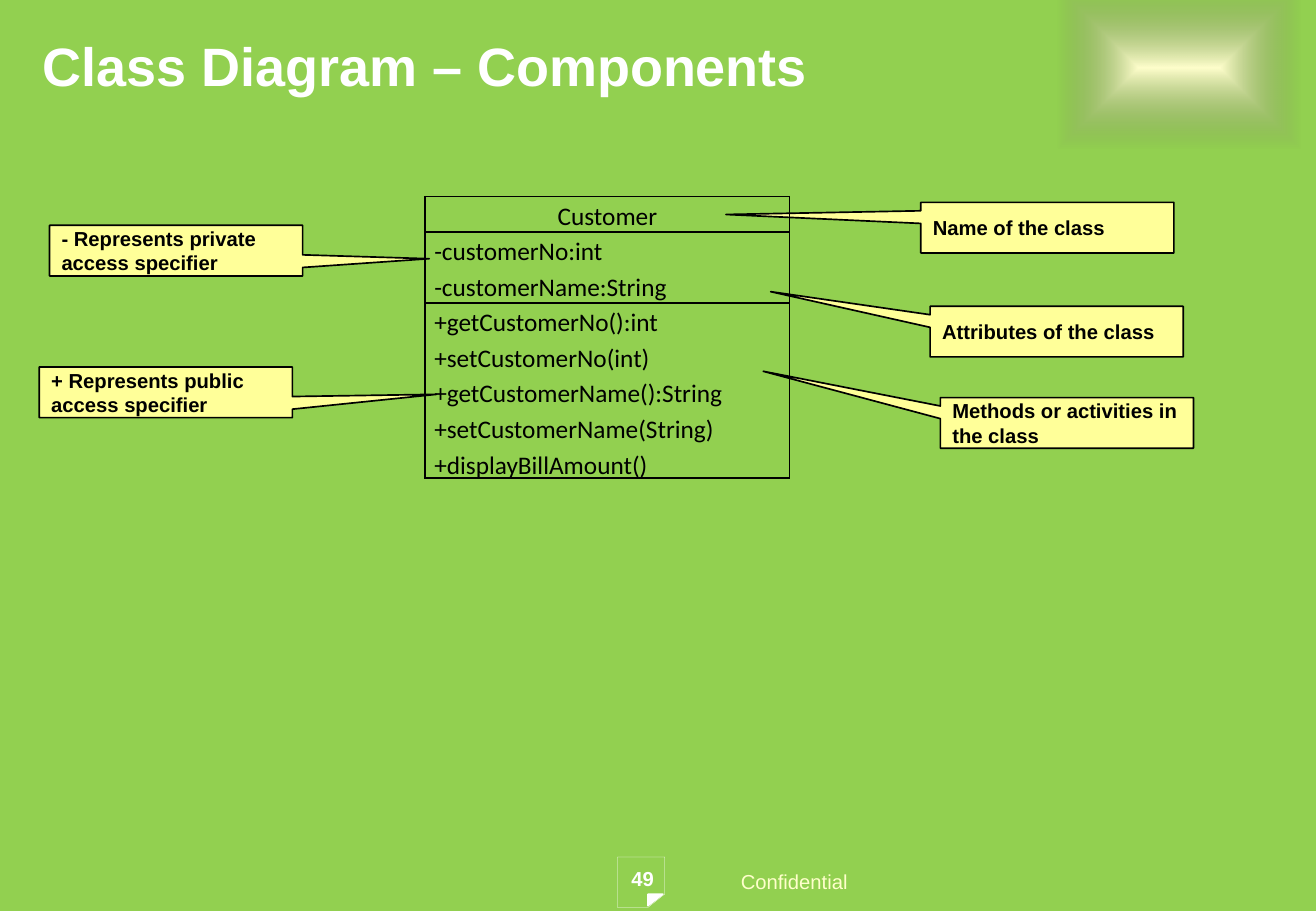
from lxml.etree import fromstring
from pptx import Presentation
from pptx.dml.color import RGBColor
from pptx.enum.shapes import MSO_SHAPE
from pptx.enum.text import MSO_ANCHOR, PP_ALIGN
from pptx.oxml.ns import qn
from pptx.util import Pt

COLORS = {
    "background": "92D050",
    "callout": "FFFF99",
    "glow": "FFFFCC",
    "glow_edge": "76765E",
    "ink": "000000",
    "light": "FFFFFF",
}
DRAWING_NS = 'xmlns:a="http://schemas.openxmlformats.org/drawingml/2006/main"'

CLASS_ROWS = [
    (20.9, ["Customer"]),
    (42.1, ["-customerNo:int", "-customerName:String"]),
    (103.7, ["+getCustomerNo():int", "+setCustomerNo(int)",
             "+getCustomerName():String", "+setCustomerName(String)",
             "+displayBillAmount()"]),
]

# Left, top, pointer offset as shares of width and height, text
CALLOUTS = [
    (29.4, 133.6, (1, 0.16), "- Represents private access specifier"),
    (23.3, 217.6, (1.07, 0.04), "+ Represents public access specifier"),
    (545.8, 120, (-1.27, -0.26), "Name of the class"),
    (551.3, 181.6, (-1.13, -0.79), "Attributes of the class"),
    (557.4, 235.7, (-1.2, -1.02), "Methods or activities in the class"),
]


def color(name):
    return RGBColor.from_string(COLORS[name])


def style(paragraph, size, ink, bold=False, face="Arial", align=PP_ALIGN.LEFT):
    paragraph.alignment = align
    font = paragraph.font
    font.size, font.bold, font.name = Pt(size), bold, face
    font.color.rgb = color(ink)


def add_text_shadow(paragraph, distance):
    """Give the letters a hard shadow towards the lower right."""
    fill = paragraph._p.pPr.find(qn("a:defRPr")).find(qn("a:solidFill"))
    fill.addnext(fromstring(
        f'<a:effectLst {DRAWING_NS}><a:outerShdw dist="{Pt(distance)}" dir="2700000">'
        f'<a:srgbClr val="{COLORS["ink"]}"/></a:outerShdw></a:effectLst>'))


def add_label(slide, box, text, size, ink, wrap=True, anchor=MSO_ANCHOR.TOP, **look):
    label = slide.shapes.add_textbox(*map(Pt, box))
    frame = label.text_frame
    frame.word_wrap, frame.vertical_anchor = wrap, anchor
    paragraph = frame.paragraphs[0]
    paragraph.text = text
    style(paragraph, size, ink, **look)
    return paragraph


def add_glow(slide, box):
    """Place the corner rectangle that fades out from its centre."""
    glow = slide.shapes.add_shape(MSO_SHAPE.RECTANGLE, *map(Pt, box))
    glow.shadow.inherit = False
    glow.line.fill.background()
    geometry = glow._element.spPr.find(qn("a:prstGeom"))
    geometry.addnext(fromstring(
        f'<a:gradFill {DRAWING_NS} rotWithShape="1"><a:gsLst>'
        f'<a:gs pos="0"><a:srgbClr val="{COLORS["glow"]}"/></a:gs>'
        f'<a:gs pos="100000"><a:srgbClr val="{COLORS["glow_edge"]}">'
        '<a:alpha val="0"/></a:srgbClr></a:gs></a:gsLst><a:path path="shape">'
        '<a:fillToRect l="50000" t="50000" r="50000" b="50000"/></a:path></a:gradFill>'))


def add_outline(slide, points, line_width, filled):
    builder = slide.shapes.build_freeform(*points[0], scale=Pt(1))
    builder.add_line_segments(points[1:], close=True)
    outline = builder.convert_to_shape()
    outline.shadow.inherit = False
    outline.line.color.rgb = color("light")
    outline.line.width = Pt(line_width)
    if filled:
        outline.fill.solid()
        outline.fill.fore_color.rgb = color("light")
    else:
        outline.fill.background()


def add_footer(slide, left, top, width, height):
    """Place the page mark with its folded corner, the number and the notice."""
    right, bottom = left + width, top + height
    fold_left, fold_top = right - 10.2, bottom - 8.2
    add_outline(slide, [(right, fold_top), (right, top), (left, top),
                        (left, bottom), (fold_left, bottom)], 0.13, False)
    add_outline(slide, [(fold_left, bottom - 1.4), (fold_left, fold_top),
                        (right - 1.8, fold_top)], 0.75, True)
    notice = add_label(slide, (left + 65.5, top + 3.6, 78.5, 21.6), "Confidential",
                       12, "glow", wrap=False)
    add_text_shadow(notice, 1)
    add_label(slide, (left - 18.7, top + 1.5, 66.2, 37.4), "49", 12, "light",
              bold=True, align=PP_ALIGN.CENTER)


def add_title(slide, box):
    title = add_label(slide, box, "Class Diagram – Components", 32, "light",
                      anchor=MSO_ANCHOR.MIDDLE, bold=True)
    add_text_shadow(title, 3)


def add_callout(slide, box, pointer, text):
    callout = slide.shapes.add_shape(MSO_SHAPE.RECTANGULAR_CALLOUT, *map(Pt, box))
    callout.shadow.inherit = False
    callout.adjustments[0], callout.adjustments[1] = pointer
    callout.fill.solid()
    callout.fill.fore_color.rgb = color("callout")
    callout.line.color.rgb = color("ink")
    callout.line.width = Pt(1)
    frame = callout.text_frame
    frame.word_wrap, frame.vertical_anchor = True, MSO_ANCHOR.MIDDLE
    frame.text = text
    style(frame.paragraphs[0], 12, "ink", bold=True)


def add_cell_borders(cell):
    properties = cell._tc.get_or_add_tcPr()
    for position, side in enumerate("LRTB"):
        properties.insert(position, fromstring(
            f'<a:ln{side} {DRAWING_NS} w="{Pt(1)}"><a:solidFill>'
            f'<a:srgbClr val="{COLORS["ink"]}"/></a:solidFill></a:ln{side}>'))


def add_class_table(slide, left, top, width):
    height = sum(row_height for row_height, _ in CLASS_ROWS)
    table = slide.shapes.add_table(
        len(CLASS_ROWS), 1, *map(Pt, (left, top, width, height))).table
    table.first_row = table.horz_banding = False
    for index, (row_height, members) in enumerate(CLASS_ROWS):
        table.rows[index].height = Pt(row_height)
        cell = table.cell(index, 0)
        cell.margin_left = cell.margin_right = Pt(5.4)
        cell.margin_top = cell.margin_bottom = 0
        cell.fill.background()
        add_cell_borders(cell)
        cell.text_frame.text = "\n".join(members)
        for paragraph in cell.text_frame.paragraphs:
            paragraph.line_spacing = 1.15
            style(paragraph, 15, "ink", face="Calibri",
                  align=PP_ALIGN.LEFT if index else PP_ALIGN.CENTER)


def add_class_diagram(slide):
    for left, top, pointer, text in CALLOUTS:
        add_callout(slide, (left, top, 150, 30), pointer, text)
    add_class_table(slide, 252, 116.6, 216)


def main():
    deck = Presentation()
    deck.slide_width, deck.slide_height = Pt(780), Pt(540)
    slide = deck.slides.add_slide(deck.slide_layouts[6])
    slide.background.fill.solid()
    slide.background.fill.fore_color.rgb = color("background")
    add_glow(slide, (627, -8, 144, 96))
    add_footer(slide, 366.5, 508.3, 28, 29.9)
    add_title(slide, (18, 0, 738, 76.5))
    add_class_diagram(slide)
    deck.save("out.pptx")


if __name__ == "__main__":
    main()
